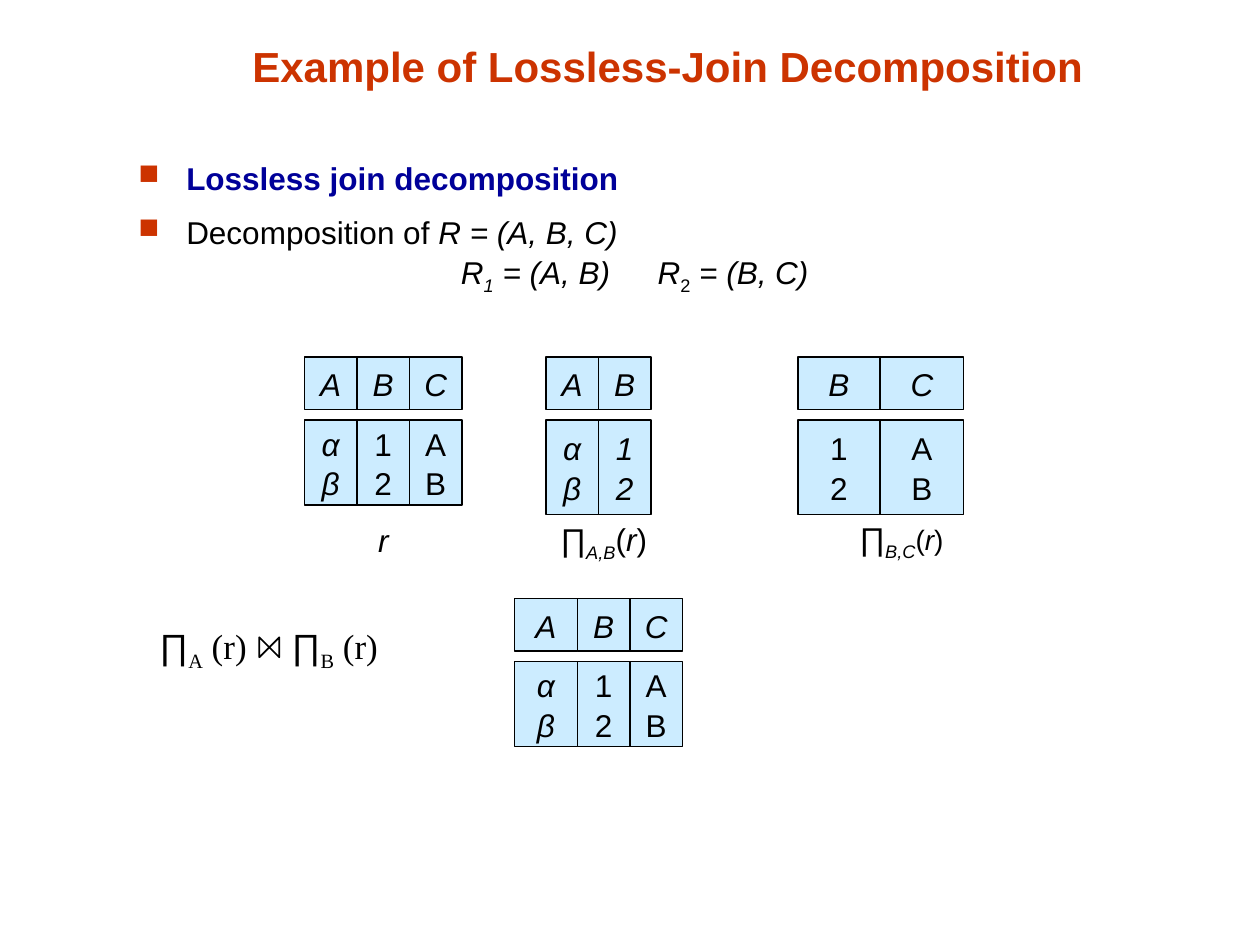
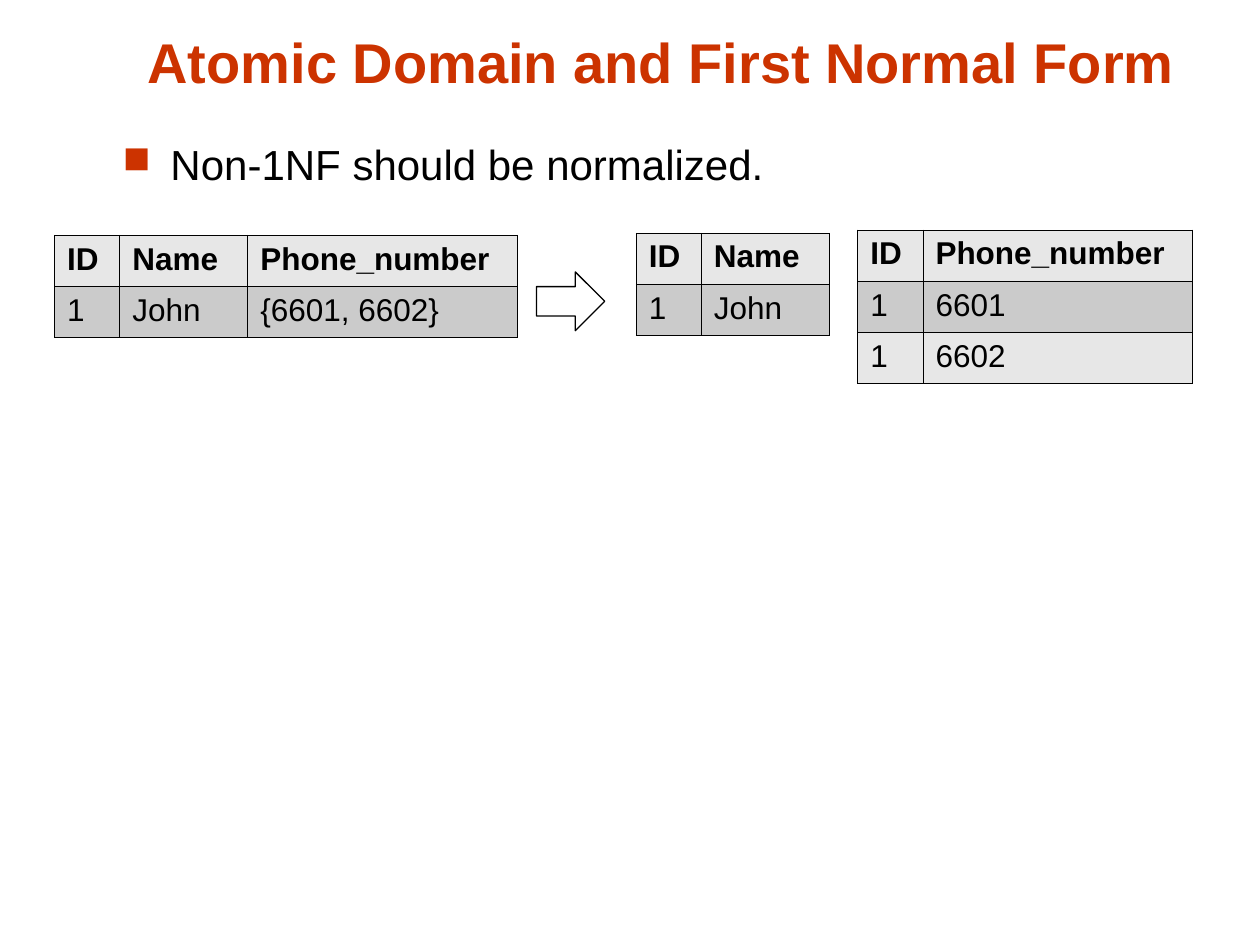
from dataclasses import dataclass
from typing import Optional

import pptx
import pptx.dml.color
import pptx.enum.shapes
import pptx.enum.text
import pptx.oxml
import pptx.oxml.ns
import pptx.util

COLORS = {
    "title": "CC3300",
    "term": "000099",
    "ink": "000000",
    "relation": "CCECFF",
    "light": "E7E7E7",
    "dark": "CBCBCB",
    "paper": "FFFFFF",
}
FONT = "Arial"
SERIF = "Times New Roman"
TEXT_SIZE = 18
LINE_SPACING = 1.05
BORDER_PT = 0.45

prs = pptx.Presentation()
prs.slide_width = pptx.util.Inches(10)
prs.slide_height = pptx.util.Inches(7.5)
COL = prs.slide_width / 120
ROW = prs.slide_height / 90

ALIGN = pptx.enum.text.PP_ALIGN
ANCHOR = pptx.enum.text.MSO_ANCHOR
SHAPE = pptx.enum.shapes.MSO_SHAPE


@dataclass
class Box:
    """A place on the slide, in grid columns and rows."""
    x: float
    y: float
    w: float
    h: float

    def emu(self) -> tuple[int, int, int, int]:
        return (round(self.x * COL), round(self.y * ROW),
                round(self.w * COL), round(self.h * ROW))


@dataclass
class Run:
    text: str
    italic: bool = False
    bold: bool = False
    sub: bool = False
    size: float = TEXT_SIZE
    font: str = FONT
    color: str = "ink"


@dataclass
class Column:
    name: str
    values: list[str]
    width: float = 5
    italic: bool = False


@dataclass
class Relation:
    x: float
    y: float
    body_height: float
    columns: list[Column]


@dataclass
class Grid:
    x: float
    y: float
    rows: list[list[str]]


def rgb(name: str) -> pptx.dml.color.RGBColor:
    return pptx.dml.color.RGBColor.from_string(COLORS[name])


def add_xml(parent, xml: str, index: Optional[int] = None) -> None:
    ns = pptx.oxml.ns.nsdecls("a")
    element = pptx.oxml.parse_xml(xml.replace(">", f" {ns}>", 1))
    parent.insert(len(parent) if index is None else index, element)


def add_runs(p, runs: list[Run]) -> None:
    """Add the runs to a paragraph; a line feed in a run becomes a line break."""
    for run in runs:
        for i, piece in enumerate(run.text.split("\n")):
            if i:
                p.add_line_break()
            r = p.add_run()
            r.text = piece
            r.font.name, r.font.size = run.font, pptx.util.Pt(run.size)
            r.font.bold, r.font.italic = run.bold, run.italic
            r.font.color.rgb = rgb(run.color)
            if run.sub:
                r.font._element.set("baseline", "-25000")


def add_tabs(p, inches: list[float]) -> None:
    stops = "".join(f'<a:tab pos="{pptx.util.Inches(t)}" algn="l"/>' for t in inches)
    add_xml(p._p.get_or_add_pPr(), f"<a:tabLst>{stops}</a:tabLst>")


def add_bullet(p) -> None:
    indent = pptx.util.Inches(0.38)
    pPr = p._p.get_or_add_pPr()
    pPr.set("marL", str(indent))
    pPr.set("indent", str(-indent))
    add_xml(pPr, f'<a:buClr><a:srgbClr val="{COLORS["title"]}"/></a:buClr>')
    add_xml(pPr, '<a:buSzPct val="90000"></a:buSzPct>')
    add_xml(pPr, '<a:buChar char="■"></a:buChar>')


def add_slide(title: str, box: Box, size: float):
    slide = prs.slides.add_slide(prs.slide_layouts[5])
    sp = slide.shapes.title
    sp.left, sp.top, sp.width, sp.height = box.emu()
    tf = sp.text_frame
    tf.vertical_anchor = ANCHOR.BOTTOM
    p = tf.paragraphs[0]
    p.alignment = ALIGN.CENTER
    add_runs(p, [Run(title, bold=True, size=size, color="title")])
    return slide


def add_text(slide, box: Box, paragraphs: list[list[Run]], bullets: bool = False,
             tabs: Optional[list[float]] = None, label: bool = False) -> None:
    """Add a text box; a label is centred both ways."""
    tf = slide.shapes.add_textbox(*box.emu()).text_frame
    tf.word_wrap = True
    if label:
        tf.vertical_anchor = ANCHOR.MIDDLE
    for i, runs in enumerate(paragraphs):
        p = tf.add_paragraph() if i else tf.paragraphs[0]
        if bullets:
            add_bullet(p)
        if tabs:
            add_tabs(p, tabs)
        p.line_spacing = LINE_SPACING
        if i:
            p.space_before = pptx.util.Pt(7.9)
        if label:
            p.alignment = ALIGN.CENTER
        add_runs(p, runs)


def style_shape(sp, fill: Optional[str], line_pt: float = 0.75) -> None:
    sp.shadow.inherit = False
    if fill:
        sp.fill.solid()
        sp.fill.fore_color.rgb = rgb(fill)
    else:
        sp.fill.background()
    sp.line.color.rgb = rgb("ink")
    sp.line.width = pptx.util.Pt(line_pt)


def add_cell(slide, box: Box, lines: list[str], italic: bool) -> None:
    sp = slide.shapes.add_shape(SHAPE.RECTANGLE, *box.emu())
    style_shape(sp, "relation")
    tf = sp.text_frame
    tf.word_wrap = False
    tf.vertical_anchor = ANCHOR.MIDDLE
    for i, line in enumerate(lines):
        p = tf.add_paragraph() if i else tf.paragraphs[0]
        p.alignment = ALIGN.CENTER
        p.line_spacing = LINE_SPACING
        add_runs(p, [Run(line, italic=italic)])


def add_relation(slide, relation: Relation) -> None:
    """Draw a header box above a box of values for each column."""
    x = relation.x
    for column in relation.columns:
        header = Box(x, relation.y, column.width, 5)
        values = Box(x, relation.y + 6, column.width, relation.body_height)
        add_cell(slide, header, [column.name], True)
        add_cell(slide, values, column.values, column.italic)
        x += column.width


def add_bowtie(slide, box: Box) -> None:
    x, y, w, h = box.emu()
    builder = slide.shapes.build_freeform(x, y)
    builder.add_line_segments([(x, y + h), (x + w, y), (x + w, y + h)], close=True)
    style_shape(builder.convert_to_shape(), None, 1)


def add_grid(slide, grid: Grid) -> None:
    widths = {"ID": 6.2, "Name": 12.2, "Phone_number": 25.7}
    columns = [widths[name] for name in grid.rows[0]]
    row_height = 4.88
    box = Box(grid.x, grid.y, sum(columns), row_height * len(grid.rows))
    table = slide.shapes.add_table(len(grid.rows), len(columns), *box.emu()).table
    for column, width in zip(table.columns, columns):
        column.width = round(width * COL)
    for i, texts in enumerate(grid.rows):
        table.rows[i].height = round(row_height * ROW)
        for j, text in enumerate(texts):
            cell = table.cell(i, j)
            cell.fill.solid()
            cell.fill.fore_color.rgb = rgb("dark" if i % 2 else "light")
            add_runs(cell.text_frame.paragraphs[0], [Run(text, bold=i == 0)])
            for k, side in enumerate("LRTB"):
                add_xml(cell._tc.get_or_add_tcPr(),
                        f'<a:ln{side} w="{pptx.util.Pt(BORDER_PT)}"><a:solidFill>'
                        f'<a:srgbClr val="{COLORS["ink"]}"/></a:solidFill></a:ln{side}>', k)


def projection(attributes: str, size: float) -> list[Run]:
    return [Run("∏"), Run(attributes, italic=True, sub=True), Run("(", size=size),
            Run("r", italic=True, size=size), Run(")", size=size)]


def build_lossless_join() -> None:
    slide = add_slide("Example of Lossless-Join Decomposition", Box(7.4, 3.4, 112.4, 5.9), 24)
    add_text(slide, Box(12, 14.4, 92, 16), [
        [Run("Lossless join decomposition", bold=True, color="term")],
        [Run("Decomposition of "), Run("R = (A, B, C)\n\tR", italic=True),
         Run("1", italic=True, sub=True), Run(" = (A, B)\tR", italic=True),
         Run("2", sub=True), Run(" = (B, C)", italic=True)],
    ], bullets=True, tabs=[2.56, 4.12])

    greek, digits, letters = ["α", "β"], ["1", "2"], ["A", "B"]
    relations = [
        Relation(29, 34, 8.1, [Column("A", greek, italic=True), Column("B", digits),
                               Column("C", letters)]),
        Relation(52, 34, 9, [Column("A", greek, italic=True),
                             Column("B", digits, italic=True)]),
        Relation(76, 34, 9, [Column("B", digits, 7.8), Column("C", letters, 8)]),
        Relation(49, 57, 8.1, [Column("A", greek, 6, True), Column("B", digits),
                               Column("C", letters)]),
    ]
    for relation in relations:
        add_relation(slide, relation)

    add_text(slide, Box(31.5, 48.9, 10, 4.8), [[Run("r", italic=True)]], label=True)
    add_text(slide, Box(49, 48.8, 17, 5.3), [projection("A,B", 18)], label=True)
    add_text(slide, Box(79, 48.7, 13.7, 5.3), [projection("B,C", 16)], label=True)

    add_text(slide, Box(14, 58.7, 33, 11.4), [[
        Run("∏", size=20), Run("A", sub=True, size=20, font=SERIF),
        Run(" (r)\t", size=20, font=SERIF),
        Run("∏", size=20), Run("B", sub=True, size=20, font=SERIF),
        Run(" (r)", size=20, font=SERIF),
    ]], tabs=[1.05])
    add_bowtie(slide, Box(24.7, 60.7, 1.9, 1.9))


def build_first_normal_form() -> None:
    slide = add_slide("Atomic Domain and First Normal Form", Box(10, 1.6, 106, 8), 32)
    add_text(slide, Box(10.5, 12.4, 102, 68),
             [[Run("Non-1NF should be normalized.", size=24)]], bullets=True)
    grids = [
        Grid(5.2, 22.4, [["ID", "Name", "Phone_number"], ["1", "John", "{6601, 6602}"]]),
        Grid(60.6, 22.2, [["ID", "Name"], ["1", "John"]]),
        Grid(81.7, 21.9, [["ID", "Phone_number"], ["1", "6601"], ["1", "6602"]]),
    ]
    for grid in grids:
        add_grid(slide, grid)
    arrow = slide.shapes.add_shape(SHAPE.RIGHT_ARROW, *Box(51.1, 25.9, 6.5, 5.6).emu())
    style_shape(arrow, "paper")


def main() -> None:
    build_lossless_join()
    build_first_normal_form()
    prs.save("out.pptx")


if __name__ == "__main__":
    main()
